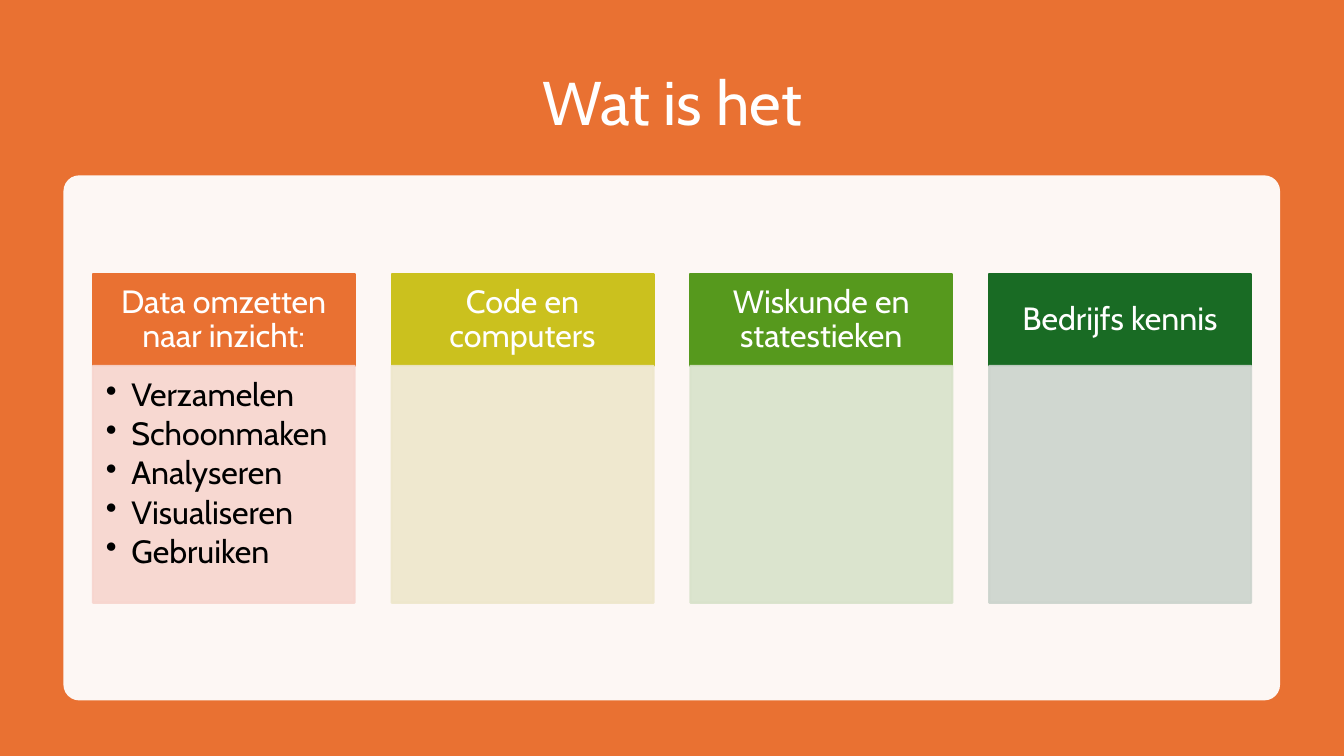
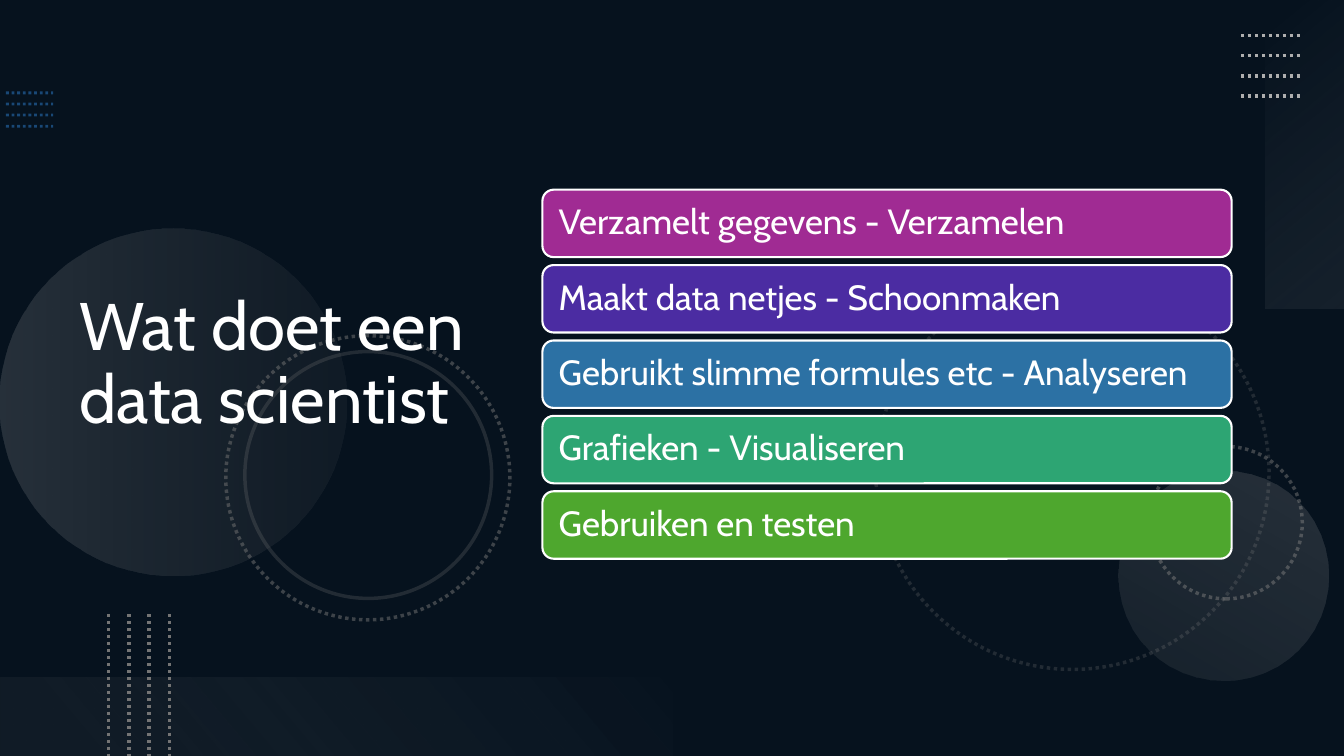
"""Build two Dutch slides on data science: what it is and what a data scientist does."""

from dataclasses import dataclass
from typing import Any, Optional

import lxml.etree
import pptx
import pptx.dml.color
import pptx.enum.dml
import pptx.enum.shapes
import pptx.enum.text
import pptx.oxml.ns
import pptx.util

Cm = pptx.util.Cm
Pt = pptx.util.Pt
qn = pptx.oxml.ns.qn
Preset = pptx.enum.shapes.MSO_SHAPE
Align = pptx.enum.text.PP_ALIGN
Anchor = pptx.enum.text.MSO_ANCHOR

FONT = "Cabin"
WIDTH, HEIGHT = 33.87, 19.05
COLORS = {
    "white": "FFFFFF", "black": "000000", "navy": "0E2841",
    "orange": "E97132", "orange_tint": "F7D5CE",
    "mustard": "CBC11E", "mustard_tint": "EEE7CB",
    "green": "56991D", "green_tint": "D8E2CA",
    "forest": "196B24", "forest_tint": "CCD4CD",
    "magenta": "A02B93", "violet": "4B2CA2", "blue": "2C71A4",
    "teal": "2DA573", "lime": "4EA72E", "sky": "2D7FCF",
    "grey": "747474", "silver": "AEAEAE", "mist": "F6F6F6", "pale": "F1F1F1",
}


@dataclass(frozen=True)
class Box:
    left: float
    top: float
    width: float
    height: float


@dataclass(frozen=True)
class Stroke:
    color: str
    points: float
    alpha: int = 100
    dotted: bool = False


@dataclass(frozen=True)
class Stop:
    position: float
    color: str
    alpha: int


@dataclass(frozen=True)
class Gradient:
    start: Stop
    end: Stop
    angle: int


@dataclass(frozen=True)
class TextStyle:
    size: float
    color: str = "white"
    align: Any = Align.LEFT
    anchor: Any = Anchor.MIDDLE
    insets: tuple[float, float, float, float] = (0.25, 0.13, 0.25, 0.13)
    after: float = 0
    bullet: bool = False


@dataclass(frozen=True)
class Column:
    heading: str
    color: str
    points: tuple[str, ...] = ()


@dataclass(frozen=True)
class Step:
    text: str
    color: str


@dataclass(frozen=True)
class Ring:
    left: float
    top: float
    diameter: float
    rotation: int
    stroke: Optional[Stroke] = None
    gradient: Optional[Gradient] = None


@dataclass(frozen=True)
class DotRows:
    left: float
    top: float
    length: float
    step: float
    vertical: bool
    stroke: Stroke


HEADING = TextStyle(23, align=Align.CENTER, insets=(0.46, 0.25, 0.46, 0.25))
POINTS = TextStyle(23, "black", anchor=Anchor.TOP,
                   insets=(0.33, 0.33, 0.46, 0.5), after=3.1, bullet=True)
STEP = TextStyle(25, insets=(0.33, 0.25, 0.33, 0.25))

COLUMNS = (
    Column("Data omzetten naar inzicht:", "orange",
           ("Verzamelen", "Schoonmaken", "Analyseren", "Visualiseren", "Gebruiken")),
    Column("Code en computers", "mustard"),
    Column("Wiskunde en statestieken", "green"),
    Column("Bedrijfs kennis", "forest"),
)
STEPS = (
    Step("Verzamelt gegevens - Verzamelen", "magenta"),
    Step("Maakt data netjes - Schoonmaken", "violet"),
    Step("Gebruikt slimme formules etc - Analyseren", "blue"),
    Step("Grafieken - Visualiseren", "teal"),
    Step("Gebruiken en testen", "lime"),
)
RINGS = (
    Ring(22.07, 6.96, 9.91, 75, Stroke("grey", 2.5, 25, True)),
    Ring(28.98, 11.25, 3.84, 270, Stroke("grey", 2.5, 50, True)),
    Ring(0, 5.77, 8.74, 270,
         gradient=Gradient(Stop(0, "silver", 20), Stop(1, "grey", 10), 90)),
    Ring(28.19, 11.86, 5.28, 210,
         gradient=Gradient(Stop(0, "silver", 10), Stop(1, "silver", 20), 90)),
    Ring(5.69, 8.46, 7.16, 75, Stroke("grey", 2.5, 50, True)),
    Ring(6.17, 8.86, 6.22, 75, Stroke("grey", 2.5, 25)),
)
CORNER_FADE = Gradient(Stop(0, "mist", 0), Stop(1, "silver", 10), 140)
FLOOR_FADE = Gradient(Stop(0.1, "grey", 10), Stop(1, "pale", 0), 140)
DOT_ROWS = (
    DotRows(0.15, 2.34, 1.19, 0.28, False, Stroke("sky", 2, 50, True)),
    DotRows(31.27, 0.89, 1.52, 0.51, False, Stroke("silver", 2.5, dotted=True)),
    DotRows(2.74, 15.47, 3.58, 0.51, True, Stroke("grey", 2.5, dotted=True)),
)


def rgb(name: str) -> Any:
    return pptx.dml.color.RGBColor.from_string(COLORS[name])


def set_alpha(color_element: Any, alpha: int) -> None:
    if alpha < 100:
        lxml.etree.SubElement(color_element, qn("a:alpha")).set("val", str(alpha * 1000))


def apply_fill(shape: Any, color: str, alpha: int) -> None:
    shape.fill.solid()
    shape.fill.fore_color.rgb = rgb(color)
    set_alpha(shape._element.spPr.find(qn("a:solidFill")).find(qn("a:srgbClr")), alpha)


def apply_gradient(shape: Any, gradient: Gradient) -> None:
    shape.fill.gradient()
    shape.fill.gradient_angle = 360 - gradient.angle
    stops = (gradient.start, gradient.end)
    for target, stop in zip(shape.fill.gradient_stops, stops):
        target.color.rgb = rgb(stop.color)
        target.position = stop.position
    colors = list(shape._element.spPr.find(qn("a:gradFill")).iter(qn("a:srgbClr")))
    for element, stop in zip(colors, stops):
        set_alpha(element, stop.alpha)


def apply_stroke(shape: Any, stroke: Stroke) -> None:
    shape.line.width = Pt(stroke.points)
    shape.line.color.rgb = rgb(stroke.color)
    if stroke.dotted:
        shape.line.dash_style = pptx.enum.dml.MSO_LINE.ROUND_DOT
    outline = shape._element.spPr.find(qn("a:ln"))
    set_alpha(next(outline.iter(qn("a:srgbClr"))), stroke.alpha)


def add_shape(slide: Any, preset: Any, box: Box, color: Optional[str] = None,
              alpha: int = 100, stroke: Optional[Stroke] = None,
              gradient: Optional[Gradient] = None, rotation: int = 0) -> Any:
    shape = slide.shapes.add_shape(
        preset, Cm(box.left), Cm(box.top), Cm(box.width), Cm(box.height))
    shape.shadow.inherit = False
    shape.rotation = rotation
    if gradient:
        apply_gradient(shape, gradient)
    elif color:
        apply_fill(shape, color, alpha)
    else:
        shape.fill.background()
    if stroke:
        apply_stroke(shape, stroke)
    else:
        shape.line.fill.background()
    return shape


def write(shape: Any, texts: tuple[str, ...], style: TextStyle) -> None:
    frame = shape.text_frame
    frame.word_wrap = True
    frame.vertical_anchor = style.anchor
    (frame.margin_left, frame.margin_top,
     frame.margin_right, frame.margin_bottom) = map(Cm, style.insets)
    for index, text in enumerate(texts):
        paragraph = frame.add_paragraph() if index else frame.paragraphs[0]
        if style.bullet:
            properties = paragraph._p.get_or_add_pPr()
            properties.set("marL", str(Cm(0.64)))
            properties.set("indent", str(-Cm(0.64)))
            lxml.etree.SubElement(properties, qn("a:buChar")).set("char", "•")
        paragraph.alignment = style.align
        paragraph.line_spacing = 0.9
        paragraph.space_after = Pt(style.after)
        run = paragraph.add_run()
        run.text = text
        run.font.name = FONT
        run.font.size = Pt(style.size)
        run.font.color.rgb = rgb(style.color)


def add_title(slide: Any, text: str, box: Box, style: TextStyle) -> None:
    title = slide.shapes.add_textbox(
        Cm(box.left), Cm(box.top), Cm(box.width), Cm(box.height))
    write(title, (text,), style)


def add_slide(deck: Any, background: str, cover: str, cover_alpha: int = 100) -> Any:
    slide = deck.slides.add_slide(deck.slide_layouts[6])
    slide.background.fill.solid()
    slide.background.fill.fore_color.rgb = rgb(background)
    add_shape(slide, Preset.RECTANGLE, Box(0, 0, WIDTH, HEIGHT), cover, cover_alpha)
    return slide


def add_column(slide: Any, column: Column, left: float) -> None:
    heading = add_shape(slide, Preset.RECTANGLE, Box(left, 6.91, 6.6, 2.31),
                        column.color, stroke=Stroke(column.color, 1.5))
    write(heading, (column.heading,), HEADING)
    tint = f"{column.color}_tint"
    body = add_shape(slide, Preset.RECTANGLE, Box(left, 9.22, 6.6, 5.97),
                     tint, 90, Stroke(tint, 1.5, 90))
    if column.points:
        write(body, column.points, POINTS)


def add_dot_rows(slide: Any, rows: DotRows) -> None:
    for index in range(4):
        offset = index * rows.step
        left = rows.left + (offset if rows.vertical else 0)
        top = rows.top + (0 if rows.vertical else offset)
        right = left + (0 if rows.vertical else rows.length)
        bottom = top + (rows.length if rows.vertical else 0)
        dots = slide.shapes.add_connector(
            pptx.enum.shapes.MSO_CONNECTOR.STRAIGHT,
            Cm(left), Cm(top), Cm(right), Cm(bottom))
        apply_stroke(dots, rows.stroke)
        lxml.etree.SubElement(dots._element.spPr, qn("a:effectLst"))


def build_definition(deck: Any) -> None:
    slide = add_slide(deck, "white", "orange")
    add_title(slide, "Wat is het", Box(2.34, 1.27, 29.21, 2.79),
              TextStyle(44, align=Align.CENTER))
    panel = add_shape(slide, Preset.ROUNDED_RECTANGLE,
                      Box(1.6, 4.42, 30.66, 13.23), "white", 95)
    panel.adjustments[0] = 0.03
    for index, column in enumerate(COLUMNS):
        add_column(slide, column, 2.34 + index * 7.53)


def build_tasks(deck: Any) -> None:
    slide = add_slide(deck, "navy", "black", 53)
    for ring in RINGS:
        add_shape(slide, Preset.OVAL, Box(ring.left, ring.top, ring.diameter, ring.diameter),
                  stroke=ring.stroke, gradient=ring.gradient, rotation=ring.rotation)
    add_shape(slide, Preset.RECTANGLE, Box(29.01, 2.9, 7.77, 1.98),
              gradient=CORNER_FADE, rotation=270)
    add_shape(slide, Preset.RECTANGLE, Box(0, 17.07, 16.94, 1.98),
              gradient=FLOOR_FADE, rotation=180)
    for rows in DOT_ROWS:
        add_dot_rows(slide, rows)
    add_title(slide, "Wat doet een data scientist", Box(1.75, 1.37, 11.66, 15.67),
              TextStyle(48))
    for index, step in enumerate(STEPS):
        bar = add_shape(slide, Preset.ROUNDED_RECTANGLE,
                        Box(13.67, 4.78 + index * 1.9, 17.37, 1.7),
                        step.color, stroke=Stroke("white", 1.5))
        write(bar, (step.text,), STEP)


def main() -> None:
    deck = pptx.Presentation()
    deck.slide_width, deck.slide_height = Cm(WIDTH), Cm(HEIGHT)
    build_definition(deck)
    build_tasks(deck)
    deck.save("out.pptx")


if __name__ == "__main__":
    main()
